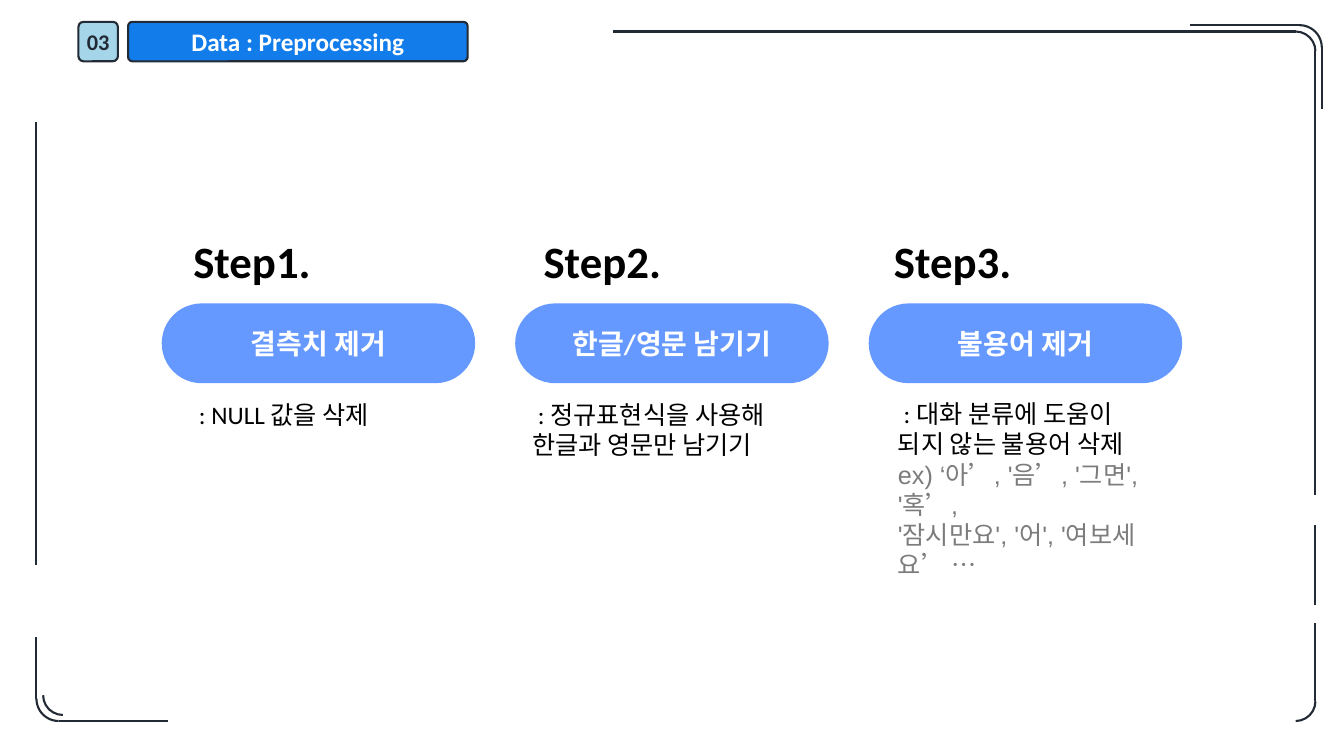
import pptx
import pptx.util
import pptx.dml.color
import pptx.enum.shapes
import pptx.enum.text
import pptx.oxml

Pt = pptx.util.Pt
SHAPE = pptx.enum.shapes.MSO_SHAPE
ALIGN = pptx.enum.text.PP_ALIGN
ANCHOR = pptx.enum.text.MSO_ANCHOR
AUTO_SIZE = pptx.enum.text.MSO_AUTO_SIZE

# Content
COLORS = {"ink": "222A35", "pill": "6699FF", "title": "127CEA", "number": "A5D5E9",
          "white": "FFFFFF", "black": "000000", "gray": "7C7C7C"}
NUMBER, TITLE = "03", "Data : Preprocessing"
EXAMPLE = {"font": "Arial", "color": "gray"}

# Each step: heading, pill label, note paragraphs with format, note box, note wraps
STEPS = [
    ("Step1.", "결측치 제거", [(" : NULL 값을 삭제", {})],
     (131, 281.5, 147.6, 29), False),
    ("Step2.", "한글/영문 남기기",
     [(" : 정규표현식을 사용해", {}), ("한글과 영문만 남기기", {})],
     (373, 281.5, 212.4, 51), True),
    ("Step3.", "불용어 제거",
     [(" : 대화 분류에 도움이 되지 않는 불용어 삭제", {}),
      ("ex) ‘아’, '음’, '그면', '혹’, ", EXAMPLE),
      ("'잠시만요', '어', '여보세요’ …", EXAMPLE)],
     (634.3, 281, 200.9, 138.2), True),
]

# Frame: lines as x1, y1, x2, y2 and corner arcs as left, top, size, rotation
LEFT, RIGHT, TOP, BOTTOM = 26, 939.6, 22.5, 515
OUTER_RIGHT, OUTER_TOP = 944.2, 18
SMALL, LARGE = 28.2, 31.8
FRAME_LINES = [
    (925.5, TOP, 437.8, TOP), (RIGHT, 353.5, RIGHT, 36.6),
    (928.3, OUTER_TOP, 850, OUTER_TOP), (OUTER_RIGHT, 77.8, OUTER_RIGHT, 33.9),
    (RIGHT, 432, RIGHT, 375), (RIGHT, 501, RIGHT, 445),
    (42, BOTTOM, 120, BOTTOM), (LEFT, 455, LEFT, 499.5), (LEFT, 403.5, LEFT, 87.3),
]
FRAME_ARCS = [
    (RIGHT - SMALL, TOP, SMALL, 0), (OUTER_RIGHT - LARGE, OUTER_TOP, LARGE, 0),
    (RIGHT - SMALL, BOTTOM - SMALL, SMALL, 90),
    (30.8, 482.5, SMALL, 180), (LEFT, BOTTOM - LARGE, LARGE, 180),
]

# Step columns
PILL_LEFT, PILL_STEP, PILL_TOP, PILL_WIDTH, PILL_HEIGHT = 115.5, 252.5, 216.7, 223.9, 57
HEADING_LEFT, HEADING_STEP, HEADING_TOP = 131, 250.2, 163.4


def rgb(name):
    return pptx.dml.color.RGBColor.from_string(COLORS[name])


def ink_line(item):
    item.line.color.rgb = rgb("ink")
    item.line.width = Pt(1.5)


def write(frame, text, first=False, font="Calibri", size=18, color="black",
          bold=False, align=ALIGN.LEFT):
    para = frame.paragraphs[0] if first else frame.add_paragraph()
    para.alignment = align
    span = para.add_run()
    span.text = text
    span.font.name, span.font.size, span.font.bold = font, Pt(size), bold
    span.font.color.rgb = rgb(color)


def add_label(shapes, box, text, fill, radius, outlined=False, wrap=True, **style):
    label = shapes.add_shape(SHAPE.ROUNDED_RECTANGLE, *map(Pt, box))
    label.shadow.inherit = False
    label.adjustments[0] = radius
    label.fill.solid()
    label.fill.fore_color.rgb = rgb(fill)
    if outlined:
        ink_line(label)
    else:
        label.line.fill.background()
    label.text_frame.word_wrap = wrap
    label.text_frame.vertical_anchor = ANCHOR.MIDDLE
    write(label.text_frame, text, first=True, bold=True, align=ALIGN.CENTER, **style)


def add_text(shapes, box, paragraphs, wrap=False):
    frame = shapes.add_textbox(*map(Pt, box)).text_frame
    frame.word_wrap = wrap
    frame.auto_size = AUTO_SIZE.SHAPE_TO_FIT_TEXT
    for index, (text, style) in enumerate(paragraphs):
        write(frame, text, first=index == 0, **style)


def add_frame(shapes):
    group = shapes.add_group_shape()
    for ends in FRAME_LINES:
        line = group.shapes.add_connector(
            pptx.enum.shapes.MSO_CONNECTOR.STRAIGHT, *map(Pt, ends))
        ink_line(line)
        line._element.spPr.append(pptx.oxml.parse_xml(
            '<a:effectLst xmlns:a="http://schemas.openxmlformats.org/drawingml/2006/main"/>'))
    for left, top, size, rotation in FRAME_ARCS:
        arc = group.shapes.add_shape(SHAPE.ARC, Pt(left), Pt(top), Pt(size), Pt(size))
        arc.rotation = rotation
        arc.shadow.inherit = False
        arc.fill.background()
        ink_line(arc)


def main():
    deck = pptx.Presentation()
    deck.slide_width, deck.slide_height = Pt(960), Pt(540)
    page = deck.slides.add_slide(deck.slide_layouts[6])
    shapes = page.shapes

    # Frame and page title
    add_frame(shapes)
    add_label(shapes, (91.5, 15.6, 242.6, 28.2), TITLE, "title", 0.11,
              outlined=True, color="white")
    add_label(shapes, (56, 15.6, 28.2, 28.2), NUMBER, "number", 0.13,
              outlined=True, wrap=False, size=16, color="ink")

    # Steps
    for index, (heading, label, note, note_box, wrap) in enumerate(STEPS):
        pill = (PILL_LEFT + index * PILL_STEP, PILL_TOP, PILL_WIDTH, PILL_HEIGHT)
        add_label(shapes, pill, label, "pill", 0.5, size=20, color="white")
        add_text(shapes, note_box, note, wrap)
        add_text(shapes, (HEADING_LEFT + index * HEADING_STEP, HEADING_TOP, 99.4, 46),
                 [(heading, {"size": 32, "bold": True})])

    deck.save("out.pptx")


if __name__ == "__main__":
    main()
